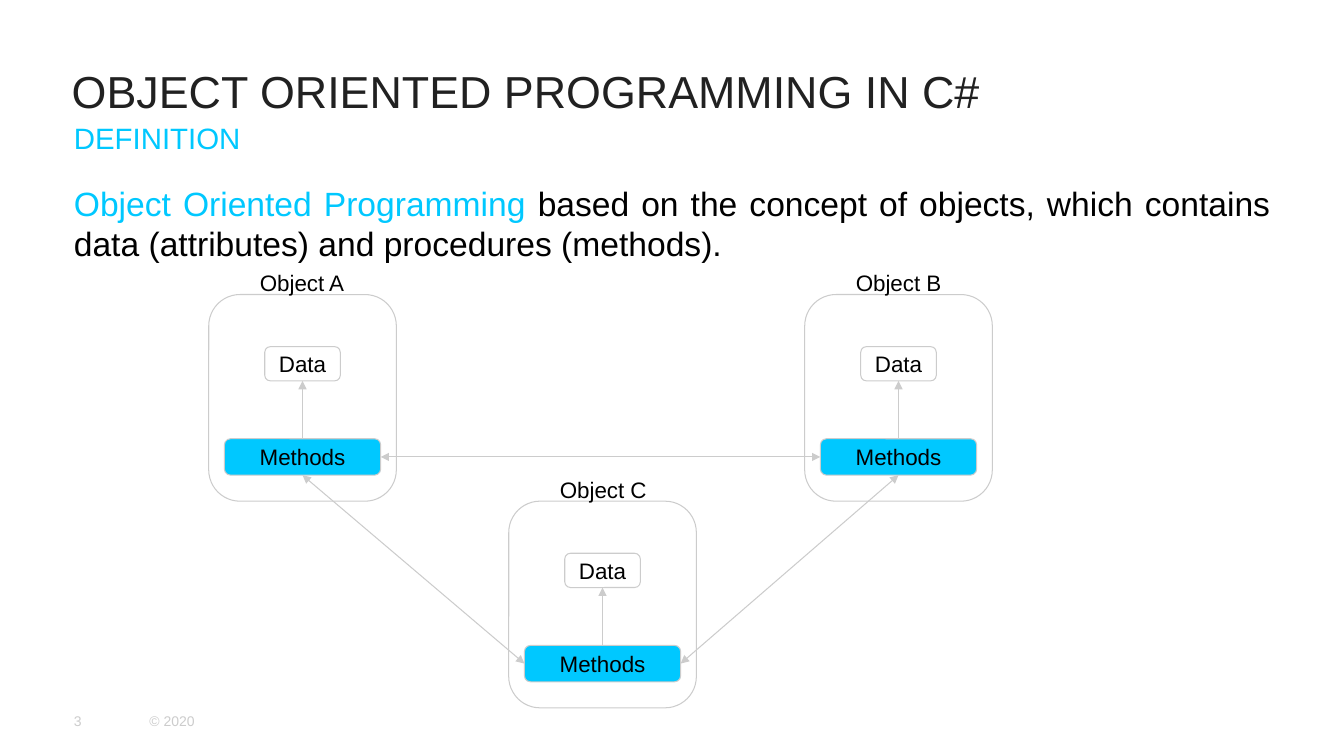
from lxml import etree
from pptx import Presentation
from pptx.dml.color import RGBColor
from pptx.enum.shapes import MSO_CONNECTOR, MSO_SHAPE
from pptx.enum.text import MSO_ANCHOR, PP_ALIGN
from pptx.oxml.ns import qn
from pptx.util import Pt

CYAN = RGBColor(0x00, 0xC8, 0xFF)
GREY = RGBColor(0xCC, 0xCC, 0xCC)
DARK = RGBColor(0x21, 0x21, 0x21)
BLACK = RGBColor(0, 0, 0)
FONT = "Arial"
TOP, LEFT, BOTTOM, RIGHT = range(4)
OBJECT_W, OBJECT_H = 134, 147.6


def write(tf, runs, size, anchor=MSO_ANCHOR.TOP, align=PP_ALIGN.LEFT, wrap=True):
    """Fill a frame with one paragraph of (text, colour) runs."""
    tf.margin_left = tf.margin_top = tf.margin_right = tf.margin_bottom = 0
    tf.word_wrap = wrap
    tf.vertical_anchor = anchor
    p = tf.paragraphs[0]
    p.alignment = align
    for text, colour in runs:
        r = p.add_run()
        r.text = text
        r.font.name = FONT
        r.font.size = Pt(size)
        r.font.color.rgb = colour


def add_text(s, x, y, w, h, runs, size, **layout):
    box = s.shapes.add_textbox(Pt(x), Pt(y), Pt(w), Pt(h))
    write(box.text_frame, runs, size, **layout)


def add_rounded(s, x, y, w, h, text="", fill=None):
    sp = s.shapes.add_shape(MSO_SHAPE.ROUNDED_RECTANGLE, Pt(x), Pt(y), Pt(w), Pt(h))
    sp.shadow.inherit = False
    if fill is None:
        sp.fill.background()
    else:
        sp.fill.solid()
        sp.fill.fore_color.rgb = fill
    sp.line.color.rgb = GREY
    sp.line.width = Pt(0.75)
    if text:
        write(sp.text_frame, [(text, BLACK)], 16, MSO_ANCHOR.MIDDLE, PP_ALIGN.CENTER)
    return sp


def add_arrow(s, start, start_side, end, end_side, both=False):
    """Join two shapes, with a head at the end or at both ends."""
    line = s.shapes.add_connector(MSO_CONNECTOR.STRAIGHT, 0, 0, 0, 0)
    line.begin_connect(start, start_side)
    line.end_connect(end, end_side)
    line.line.color.rgb = GREY
    line.line.width = Pt(0.75)
    ln = line.line._get_or_add_ln()
    for tag in ("a:headEnd", "a:tailEnd") if both else ("a:tailEnd",):
        etree.SubElement(ln, qn(tag), type="triangle")
    etree.SubElement(line._element.spPr, qn("a:effectLst"))


def add_heading(s, x, y, w):
    add_text(s, x - 1.6, y, w + 1.6, 83,
             [("OBJECT ORIENTED PROGRAMMING IN C#", DARK)], 32, anchor=MSO_ANCHOR.BOTTOM)
    add_text(s, x, y + 85, w, 30, [("DEFINITION", CYAN)], 21)


def add_definition(s, x, y, w, h):
    runs = [("Object Oriented Programming ", CYAN),
            ("based on the concept of objects, which contains data (attributes) "
             "and procedures (methods).", BLACK)]
    add_text(s, x, y, w, h, runs, 24, align=PP_ALIGN.JUSTIFY)


def add_object(s, x, y, name):
    """Draw one object with its data and methods; return the methods box."""
    add_rounded(s, x, y, OBJECT_W, OBJECT_H)
    data_w, methods_w = 54, 111.6
    data = add_rounded(s, x + (OBJECT_W - data_w) / 2, y + 37.2, data_w, 24.5, "Data")
    methods = add_rounded(s, x + (OBJECT_W - methods_w) / 2, y + 103, methods_w, 26,
                          "Methods", CYAN)
    add_arrow(s, methods, TOP, data, BOTTOM)
    add_text(s, x + 36.5, y - 18, 75, 18.7, [(name, BLACK)], 16, wrap=False)
    return methods


def add_diagram(s, x, y):
    a = add_object(s, x, y, "Object A")
    b = add_object(s, x + 425.7, y, "Object B")
    c = add_object(s, x + 214.3, y + OBJECT_H, "Object C")
    add_arrow(s, a, RIGHT, b, LEFT, both=True)
    add_arrow(s, a, BOTTOM, c, LEFT, both=True)
    add_arrow(s, c, RIGHT, b, BOTTOM, both=True)


def add_footer(s, x, y, h):
    for left, width, text in ((x, 53, "3"), (x + 54, 78, "© 2020")):
        add_text(s, left, y, width, h, [(text, GREY)], 10, anchor=MSO_ANCHOR.MIDDLE)


def main():
    prs = Presentation()
    prs.slide_width, prs.slide_height = Pt(960), Pt(540)
    s = prs.slides.add_slide(prs.slide_layouts[6])
    add_heading(s, 52.8, 0.7, 854.6)
    add_definition(s, 52.8, 130.4, 854.6, 60)
    add_diagram(s, 149.1, 210.4)
    add_footer(s, 52.8, 500.4, 28.8)
    prs.save("out.pptx")


if __name__ == "__main__":
    main()
